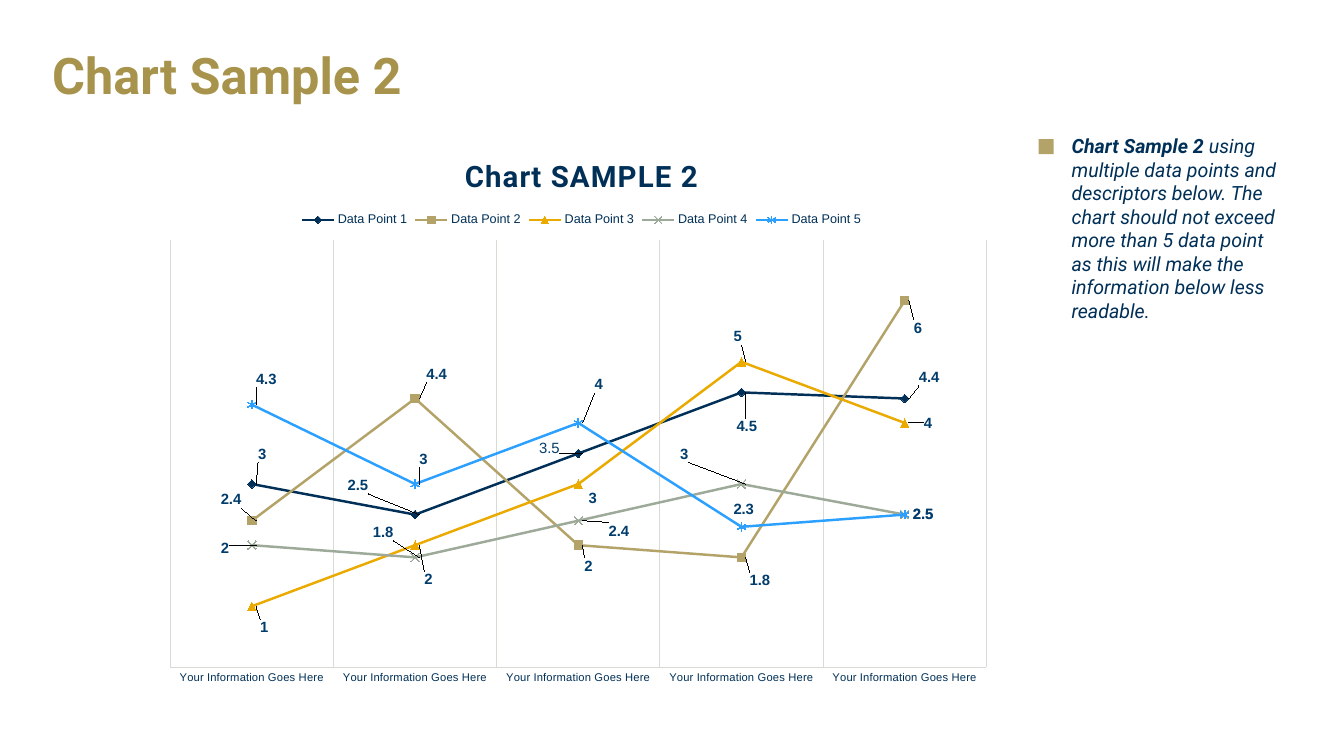
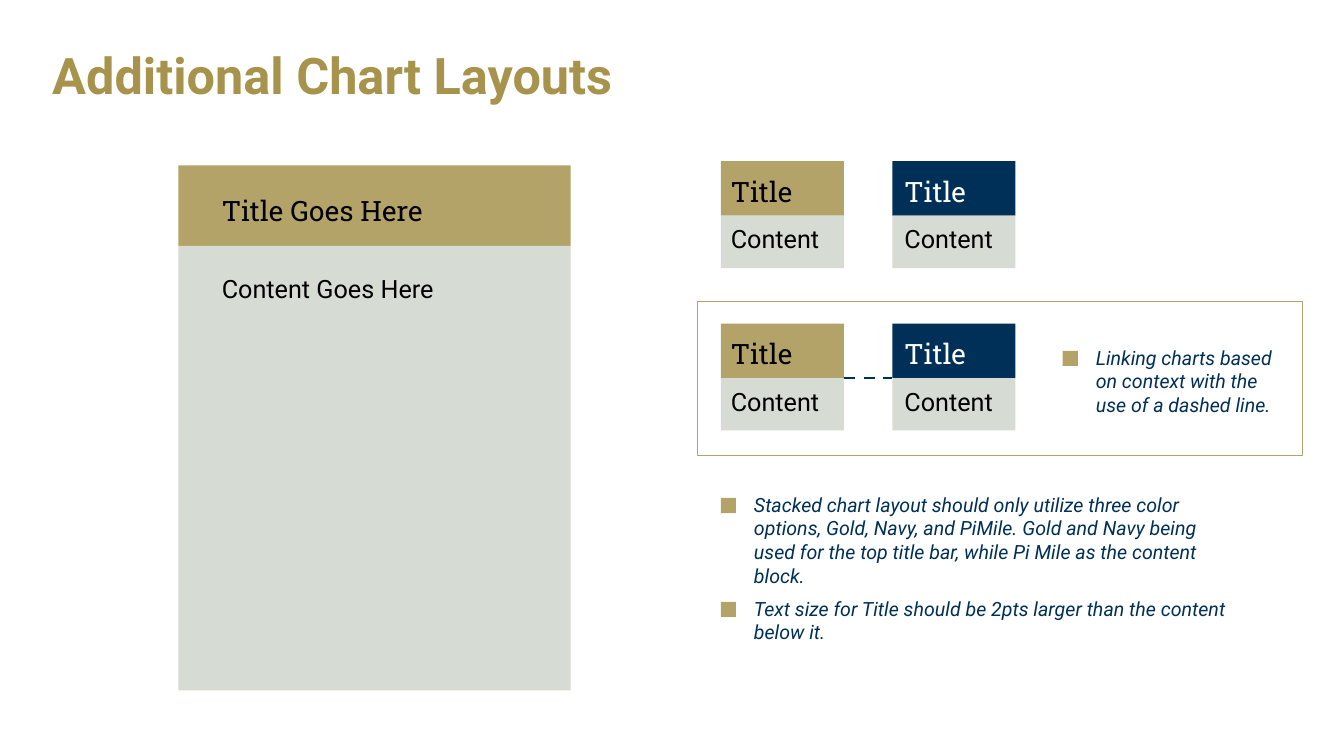
from lxml.etree import SubElement
from pptx import Presentation
from pptx.chart.data import CategoryChartData
from pptx.dml.color import RGBColor
from pptx.enum.chart import (XL_CHART_TYPE, XL_LABEL_POSITION, XL_LEGEND_POSITION,
                             XL_MARKER_STYLE, XL_TICK_MARK)
from pptx.enum.dml import MSO_LINE
from pptx.enum.shapes import MSO_CONNECTOR, MSO_SHAPE
from pptx.enum.text import MSO_ANCHOR, PP_ALIGN
from pptx.oxml.ns import qn
from pptx.util import Inches, Pt

NAVY, GOLD, PI_MILE = "003057", "B3A369", "D6DBD4"
TITLE_GOLD, LABEL_BLUE = "A7934B", "003C6C"
BLACK, WHITE = "000000", "FFFFFF"

TITLE = {"name": "Roboto", "size": Pt(36), "bold": True}
NOTE = {"name": "Roboto", "size": Pt(14), "italic": True}
CARD_TITLE = {"name": "Roboto Slab", "size": Pt(20)}
CARD_CONTENT = {"name": "Roboto", "size": Pt(18)}
CHART_TITLE = {"name": "Roboto", "size": Pt(21), "bold": True}
CHART_TEXT = {"name": "Arial", "size": Pt(10), "bold": False}
POINT_LABEL = {"name": "Arial", "size": Pt(10.6), "bold": True}

CHART_BOX = (1.52, 1.28, 8.44, 5.63)

# Name, colour, marker, marker filled, values, label offsets from the right of each point
SERIES = [
    ("Data Point 1", NAVY, XL_MARKER_STYLE.DIAMOND, True, (3, 2.5, 3.5, 4.5, 4.4),
     ((-0.02, -0.3), (-0.75, -0.29), (-0.47, -0.05), (-0.13, 0.34), (0.06, -0.21))),
    ("Data Point 2", GOLD, XL_MARKER_STYLE.SQUARE, True, (2.4, 4.4, 2, 1.8, 6),
     ((-0.39, -0.21), (0.03, -0.24), (-0.02, 0.21), (0, 0.23), (0.01, 0.27))),
    ("Data Point 3", "EAAA00", XL_MARKER_STYLE.TRIANGLE, True, (1, 2, 3, 5, 4),
     ((0, 0.21), (0.01, 0.34), (0.02, 0.14), (-0.16, -0.25), (0.11, 0))),
    ("Data Point 4", "9EAA99", XL_MARKER_STYLE.X, False, (2, 1.8, 2.4, 3, 2.5),
     ((-0.39, 0.03), (-0.5, -0.25), (0.22, 0.1), (-0.69, -0.3), (0, 0))),
    ("Data Point 5", "2CA0FF", XL_MARKER_STYLE.STAR, False, (4.3, 3, 4, 2.3, 2.5),
     ((-0.04, -0.25), (-0.04, -0.25), (0.08, -0.38), (-0.16, -0.18), (0, 0))),
]


def rgb(color):
    return RGBColor.from_string(color)


def set_all(target, values):
    for name, value in values.items():
        setattr(target, name, value)


def set_font(font, style, color, **changes):
    set_all(font, {**style, **changes})
    font.color.rgb = rgb(color)


def add_layout(parent, index, **values):
    """Place a chart part by fractions of the chart."""
    for old in parent.findall(qn("c:layout")):
        parent.remove(old)
    layout = SubElement(parent, qn("c:layout"))
    parent.insert(index, layout)
    manual = SubElement(layout, qn("c:manualLayout"))
    for name, value in values.items():
        SubElement(manual, qn(f"c:{name}")).set("val", str(value))


class Deck:
    def __init__(self):
        self.presentation = Presentation()
        set_all(self.presentation, {"slide_width": Inches(13.33), "slide_height": Inches(7.5)})
        self.slide = None

    def new_slide(self, title):
        self.slide = self.presentation.slides.add_slide(self.presentation.slide_layouts[6])
        frame = self.text((0.42, 0.22, 12.5, 1.11), [(title, {})], TITLE, TITLE_GOLD)
        frame.vertical_anchor = MSO_ANCHOR.MIDDLE
        frame.paragraphs[0].line_spacing = 0.9

    def text(self, box, runs, style, color):
        frame = self.slide.shapes.add_textbox(*map(Inches, box)).text_frame
        frame.word_wrap = True
        for words, changes in runs:
            run = frame.paragraphs[0].add_run()
            run.text = words
            set_font(run.font, style, color, **changes)
        return frame

    def rectangle(self, box, fill=None, line=None):
        shape = self.slide.shapes.add_shape(MSO_SHAPE.RECTANGLE, *map(Inches, box))
        shape.shadow.inherit = False
        if fill:
            shape.fill.solid()
            shape.fill.fore_color.rgb = rgb(fill)
        else:
            shape.fill.background()
        if line:
            shape.line.color.rgb = rgb(line)
            shape.line.width = Pt(1)
        else:
            shape.line.fill.background()
        return shape

    def block(self, box, fill, words, style, color, inset):
        """A filled rectangle with text set in from its top left corner."""
        frame = self.rectangle(box, fill).text_frame
        left, top = inset
        set_all(frame, {"margin_left": Inches(left), "margin_top": Inches(top),
                        "margin_right": 0, "margin_bottom": 0,
                        "word_wrap": True, "vertical_anchor": MSO_ANCHOR.TOP})
        paragraph = frame.paragraphs[0]
        paragraph.alignment = PP_ALIGN.LEFT
        run = paragraph.add_run()
        run.text = words
        set_font(run.font, style, color)

    def card(self, left, top, width, heights, texts, insets, bar=GOLD, title_color=BLACK):
        """A title bar stacked on a content block."""
        bar_height, content_height = heights
        title, content = texts
        self.block((left, top, width, bar_height), bar, title,
                   CARD_TITLE, title_color, insets[0])
        self.block((left, top + bar_height, width, content_height), PI_MILE, content,
                   CARD_CONTENT, BLACK, insets[1])

    def card_pair(self, top):
        for left, inset, bar, color in ((7.15, 0.1, GOLD, BLACK), (8.85, 0.12, NAVY, WHITE)):
            self.card(left, top, 1.22, (0.54, 0.52), ("Title", "Content"),
                      ((inset, 0.13), (inset, 0.08)), bar, color)

    def note(self, left, top, width, height, *runs):
        """Italic text with a gold square before its first line."""
        self.rectangle((left, top + 0.1, 0.15, 0.15), GOLD)
        self.text((left + 0.23, top, width, height), runs, NOTE, NAVY)

    def dashed_line(self, left, right, y):
        connector = self.slide.shapes.add_connector(
            MSO_CONNECTOR.STRAIGHT, *map(Inches, (left, y, right, y)))
        connector.line.color.rgb = rgb(NAVY)
        set_all(connector.line, {"width": Pt(2), "dash_style": MSO_LINE.DASH})
        SubElement(connector._element.spPr, qn("a:effectLst"))

    def line_chart(self, box, title, categories, series_rows):
        data = CategoryChartData()
        data.categories = categories
        for name, _, _, _, values, _ in series_rows:
            data.add_series(name, values)
        chart = self.slide.shapes.add_chart(
            XL_CHART_TYPE.LINE_MARKERS, *map(Inches, box), data).chart
        set_font(chart.font, CHART_TEXT, NAVY)
        chart.plots[0].vary_by_categories = False

        # Title and legend
        chart.has_title = True
        run = chart.chart_title.text_frame.paragraphs[0].add_run()
        run.text = title
        set_font(run.font, CHART_TITLE, NAVY)
        run.font._element.set("spc", "80")
        add_layout(chart.chart_title._element, 1, xMode="edge", yMode="edge", x=0.36, y=0.04)
        chart.has_legend = True
        set_all(chart.legend, {"position": XL_LEGEND_POSITION.TOP, "include_in_layout": False})
        set_font(chart.legend.font, CHART_TEXT, NAVY, size=Pt(9))
        add_layout(chart.legend._element, 1, xMode="edge", yMode="edge", x=0.17, y=0.14)

        # Axes and plot area
        set_all(chart.value_axis, {"minimum_scale": 0, "maximum_scale": 7,
                                   "has_major_gridlines": False, "visible": False})
        axis = chart.category_axis
        set_all(axis, {"has_major_gridlines": True, "major_tick_mark": XL_TICK_MARK.NONE,
                       "minor_tick_mark": XL_TICK_MARK.NONE})
        set_font(axis.tick_labels.font, CHART_TEXT, NAVY, size=Pt(8))
        for line in (axis.format.line, axis.major_gridlines.format.line):
            line.color.rgb = rgb(PI_MILE)
            line.width = Pt(0.75)
        plot_area = chart._chartSpace.find(".//" + qn("c:plotArea"))
        add_layout(plot_area, 0, layoutTarget="inner", xMode="edge", yMode="edge",
                   x=0.02, y=0.195, w=0.959, h=0.754)

        for series, row in zip(chart.plots[0].series, series_rows):
            self.style_series(series, row, box)

    def style_series(self, series, row, box):
        _, color, marker_style, filled, _, offsets = row
        series.smooth = False
        series.format.line.color.rgb = rgb(color)
        series.format.line.width = Pt(1.75)
        marker = series.marker
        set_all(marker, {"style": marker_style, "size": 6})
        marker.format.line.color.rgb = rgb(color)
        if filled:
            marker.format.fill.solid()
            marker.format.fill.fore_color.rgb = rgb(color)
        else:
            marker.format.fill.background()

        labels = series.data_labels
        set_all(labels, {"show_value": True, "position": XL_LABEL_POSITION.RIGHT})
        set_font(labels.font, POINT_LABEL, LABEL_BLUE)
        for index, (across, down) in enumerate(offsets):
            label = series.points[index].data_label
            label.position = XL_LABEL_POSITION.RIGHT
            plain = color == NAVY and index == 2
            set_font(label.font, POINT_LABEL, LABEL_BLUE, bold=not plain)
        for element, (across, down) in zip(labels._element.findall(qn("c:dLbl")), offsets):
            if across or down:
                add_layout(element, 1, x=round(across / box[2], 4), y=round(down / box[3], 4))


def main():
    deck = Deck()

    # Line chart with a note
    deck.new_slide("Chart Sample 2")
    deck.note(10.3, 1.28, 2.33, 1.99,
              ("Chart Sample 2 ", {"bold": True}),
              ("using multiple data points and descriptors below. The chart should not exceed "
               "more than 5 data point as this will make the information below less readable.",
               {}))
    deck.line_chart(CHART_BOX, "Chart SAMPLE 2", ["Your Information Goes Here"] * 5, SERIES)

    # Stacked cards
    deck.new_slide("Additional Chart Layouts")
    deck.card(1.77, 1.64, 3.89, (0.8, 4.41), ("Title Goes Here", "Content Goes Here"),
              ((0.43, 0.28), (0.43, 0.27)))
    deck.card_pair(1.6)

    # Linked cards in a frame
    deck.rectangle((6.92, 2.99, 6, 1.53), line=GOLD)
    deck.card_pair(3.21)
    deck.dashed_line(8.37, 8.85, 3.75)
    deck.note(10.54, 3.38, 2.06, 0.81,
              ("Linking charts based on context with the use of a dashed line.", {}))

    # Usage notes
    deck.note(7.15, 4.84, 4.9, 1.04,
              ("Stacked chart layout should only utilize three color options, Gold, Navy, and "
               "PiMile. Gold and Navy being used for the top title bar, while Pi Mile as the "
               "content block.", {}))
    deck.note(7.15, 5.87, 4.9, 0.57,
              ("Text size for Title should be 2pts larger than the content below it.", {}))

    deck.presentation.save("out.pptx")


if __name__ == "__main__":
    main()
